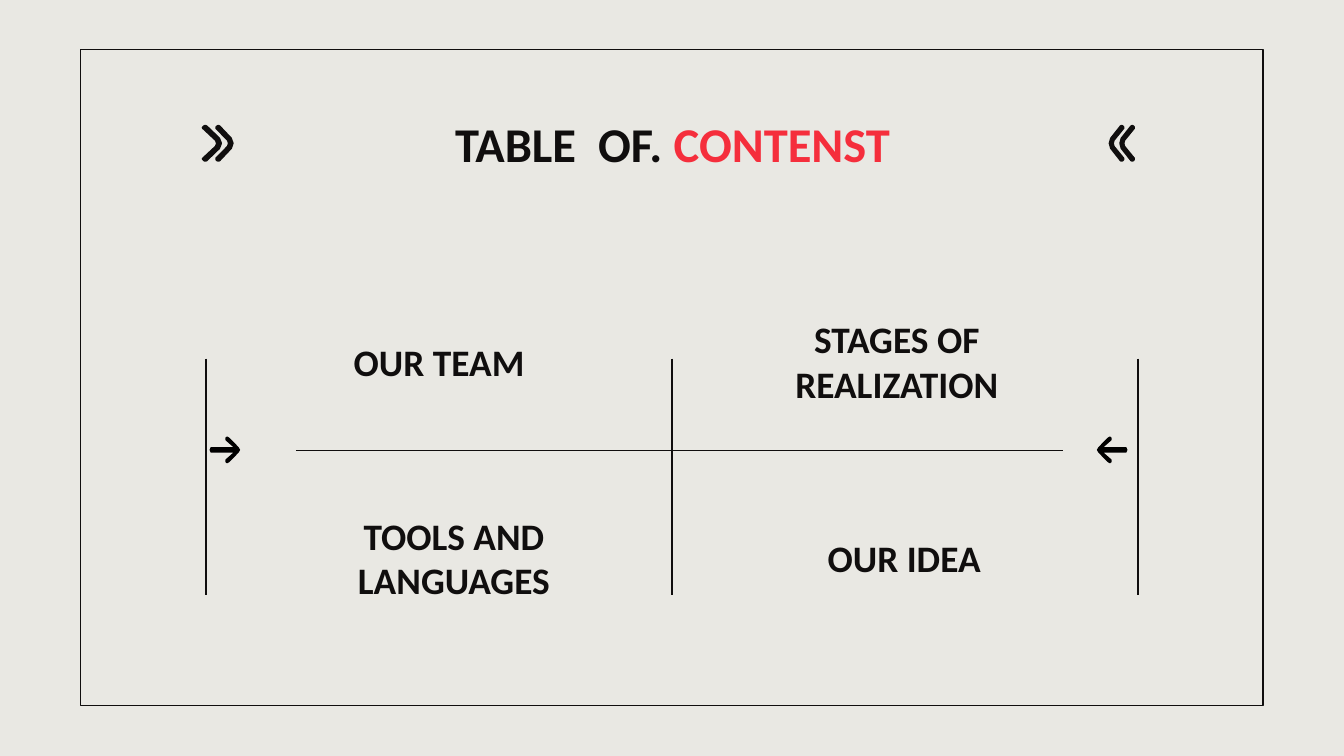
from lxml.etree import SubElement
from pptx import Presentation
from pptx.dml.color import RGBColor
from pptx.enum.shapes import MSO_CONNECTOR as Connector, MSO_SHAPE as Shape
from pptx.enum.text import MSO_ANCHOR as Anchor, MSO_AUTO_SIZE as AutoSize, PP_ALIGN as Align
from pptx.oxml.ns import qn
from pptx.util import Cm, Pt

FONT = "Calibri"
INK, RED, BLACK, PAPER = "100E0E", "F52E3C", "000000", "E9E8E3"
TOP_ROW, BOTTOM_ROW, ROW_HEIGHT = 6.12, 9.83, 1.42

# Outlines pointing right, as fractions of width and height
CHEVRON = [(0.08, 1), (0, 0.96), (0.75, 0.6), (0.82, 0.5), (0.75, 0.4), (0, 0.04),
           (0.08, 0), (0.17, 0), (0.9, 0.36), (1, 0.5), (0.9, 0.64), (0.17, 1)]
ARROW = [(0.57, 0), (0.65, 0.05), (0.95, 0.4), (1, 0.5), (0.95, 0.6), (0.65, 0.95),
         (0.57, 1), (0.52, 0.95), (0.52, 0.86), (0.78, 0.6), (0.04, 0.6), (0, 0.5),
         (0.04, 0.4), (0.78, 0.4), (0.52, 0.14), (0.52, 0.05)]


def color(value):
    return RGBColor.from_string(value)


def place(box, left, top, width, height):
    box.left, box.top, box.width, box.height = map(Cm, (left, top, width, height))


def write(box, paragraphs, size):
    """Fill a box with centred bold paragraphs, each a list of (text, color) runs."""
    frame = box.text_frame
    frame.word_wrap = True
    frame.auto_size = AutoSize.NONE
    frame.vertical_anchor = Anchor.MIDDLE
    frame.margin_left = frame.margin_right = Cm(0.25)
    frame.margin_top = frame.margin_bottom = Cm(0.25)
    for index, runs in enumerate(paragraphs):
        para = frame.add_paragraph() if index else frame.paragraphs[0]
        para.alignment = Align.CENTER
        para.space_before = Pt(0)
        para.font.name, para.font.size, para.font.bold = FONT, Pt(size), True
        for text, shade in runs:
            span = para.add_run()
            span.text = text
            span.font.color.rgb = color(shade)


def remove_bullets(box):
    for para in box.text_frame.paragraphs:
        properties = para._p.get_or_add_pPr()
        properties.set("marL", "0")
        properties.set("indent", "0")
        SubElement(properties, qn("a:buNone"))


def add_entry(slide, lines, left, top, width, box=None):
    """Write a contents entry into a body placeholder, or into a new text box."""
    is_body = box is not None
    if not is_body:
        box = slide.shapes.add_textbox(0, 0, 0, 0)
    place(box, left, top, width, ROW_HEIGHT)
    write(box, [[(line, INK)] for line in lines], 20)
    if is_body:
        remove_bullets(box)


def add_frame(slide):
    frame = slide.shapes.add_shape(Shape.RECTANGLE, 0, 0, 0, 0)
    place(frame, 1.52, 0.94, 22.35, 12.4)
    frame.shadow.inherit = False
    frame.fill.background()
    frame.line.color.rgb = color(INK)
    frame.line.width = Pt(0.75)


def add_rule(slide, x1, y1, x2, y2):
    rule = slide.shapes.add_connector(Connector.STRAIGHT, Cm(x1), Cm(y1), Cm(x2), Cm(y2))
    rule.line.color.rgb = color(INK)
    rule.line.width = Pt(0.75)
    SubElement(rule._element.spPr, qn("a:effectLst"))


def add_icon(slide, outline, left, top, width, height, shade, points_left=False, line=0):
    corners = [(Cm(left + width * (1 - x if points_left else x)), Cm(top + height * y))
               for x, y in outline]
    builder = slide.shapes.build_freeform(*corners[0])
    builder.add_line_segments(corners[1:], close=True)
    icon = builder.convert_to_shape()
    icon.shadow.inherit = False
    icon.fill.solid()
    icon.fill.fore_color.rgb = color(shade)
    if line:
        icon.line.color.rgb = color(shade)
        icon.line.width = Pt(line)
    else:
        icon.line.fill.background()


def main():
    deck = Presentation()
    deck.slide_width, deck.slide_height = Cm(25.4), Cm(14.29)
    slide = deck.slides.add_slide(deck.slide_layouts.get_by_name("Two Content"))
    slide.background.fill.solid()
    slide.background.fill.fore_color.rgb = color(PAPER)
    title, team, idea = slide.placeholders

    add_frame(slide)
    place(title, 4.42, 1.91, 16.59, 1.6)
    write(title, [[("TABLE  OF. ", INK), ("CONTENST", RED)]], 26)

    add_entry(slide, ["OUR TEAM"], 5.94, TOP_ROW, 4.72, team)
    add_entry(slide, ["OUR IDEA"], 14.73, BOTTOM_ROW, 4.72, idea)
    add_entry(slide, ["TOOLS AND LANGUAGES"], 5.05, BOTTOM_ROW, 7.06)
    add_entry(slide, ["STAGES OF", "REALIZATION"], 13.28, TOP_ROW, 7.34)

    for column in range(3):
        x = 3.89 + 8.81 * column
        add_rule(slide, x, 6.78, x, 11.25)
    add_rule(slide, 5.59, 8.51, 20.09, 8.51)

    for left, width, points_left in [(4.09, 0.3, False), (3.84, 0.33, False),
                                     (20.98, 0.25, True), (21.18, 0.25, True)]:
        add_icon(slide, CHEVRON, left, 2.39, width, 0.64, INK, points_left, line=1.5)
    for left, points_left in [(3.96, False), (20.73, True)]:
        add_icon(slide, ARROW, left, 8.25, 0.58, 0.51, BLACK, points_left)

    deck.save("out.pptx")


if __name__ == "__main__":
    main()
